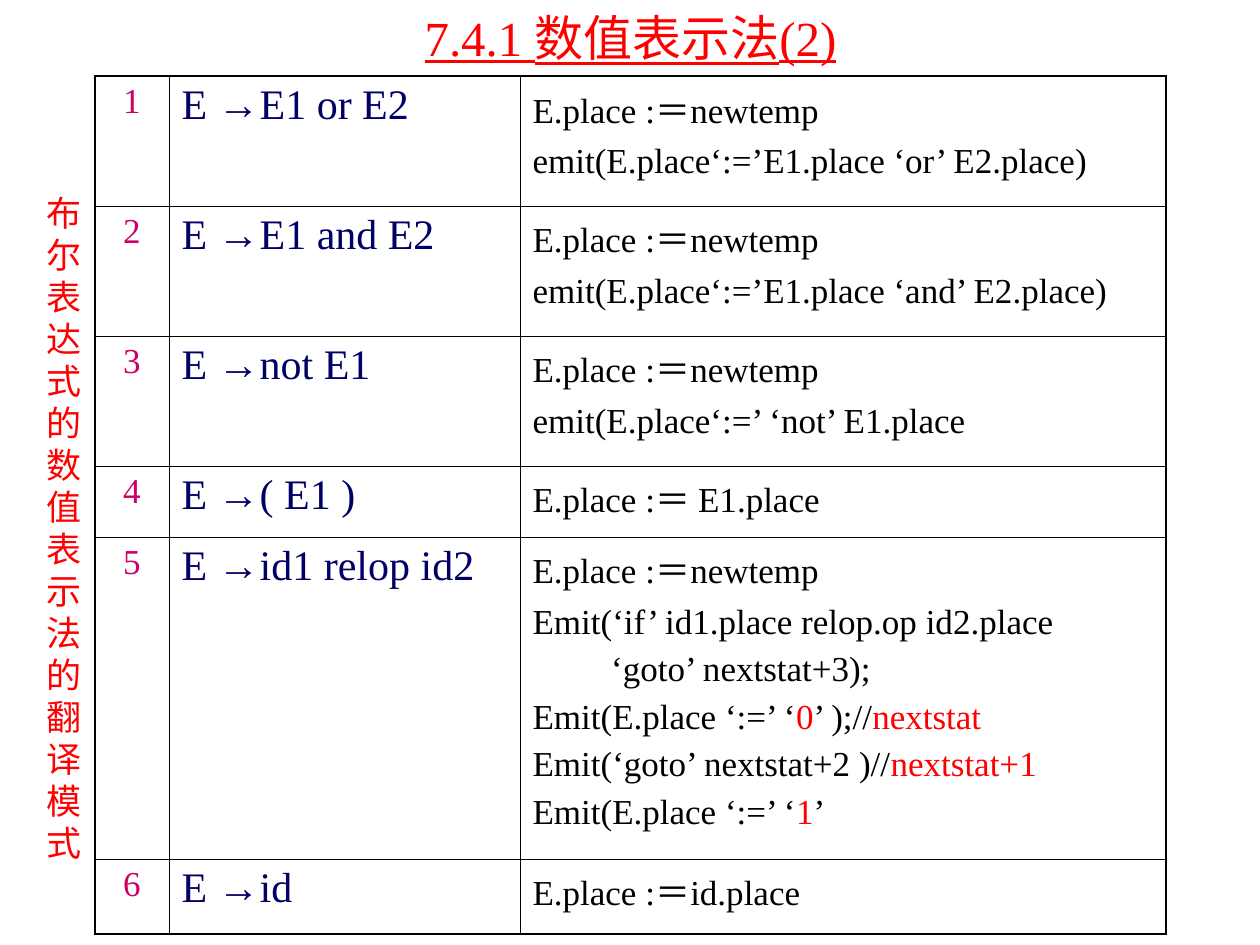
from dataclasses import dataclass

from lxml import etree
from pptx import Presentation
from pptx import util as u
from pptx.dml.color import RGBColor
from pptx.enum import text
from pptx.oxml import ns

EMU_PER_PX = 914400 / 126


@dataclass(frozen=True)
class Theme:
    font: str = "Times New Roman"
    red: str = "FF0000"
    number: str = "CC0066"
    production: str = "000066"
    body: str = "000000"
    highlight: str = "FF99FF"
    border: str = "000000"
    title_pt: int = 28
    production_pt: int = 24
    body_pt: int = 20
    gap_pt: int = 5
    outer_pt: float = 1.08
    inner_pt: float = 0.45


@dataclass(frozen=True)
class Box:
    x: int
    y: int
    w: int
    h: int


@dataclass(frozen=True)
class Rule:
    """One production and its actions; text between bars is red."""
    production: str
    actions: tuple[str, ...]
    height: int
    highlighted: bool = False


THEME = Theme()
TITLE = Box(95, 0, 1071, 73)
SIDE_LABEL = Box(34, 185, 37, 685)
TABLE_X, TABLE_Y = 95, 76
COLUMNS = (74, 351, 646)
NEWTEMP = "E.place :＝newtemp"
RULES = (
    Rule("E →E1 or E2", (NEWTEMP, "emit(E.place‘:=’E1.place ‘or’ E2.place)"), 130),
    Rule("E →E1 and E2", (NEWTEMP, "emit(E.place‘:=’E1.place ‘and’ E2.place)"), 130),
    Rule("E →not E1", (NEWTEMP, "emit(E.place‘:=’ ‘not’ E1.place"), 130),
    Rule("E →( E1 )", ("E.place :＝ E1.place",), 71),
    Rule("E →id1 relop id2", (
        NEWTEMP,
        "Emit(‘if’ id1.place relop.op id2.place",
        "         ‘goto’ nextstat+3);",
        "Emit(E.place ‘:=’ ‘|0|’ );//|nextstat|",
        "Emit(‘goto’ nextstat+2 )//|nextstat+1|",
        "Emit(E.place ‘:=’ ‘|1|’",
    ), 322, highlighted=True),
    Rule("E →id", ("E.place :＝id.place",), 75),
)


def px(n: int) -> u.Emu:
    return u.Emu(round(n * EMU_PER_PX))


def write(tf, lines: tuple[str, ...], size: int, color: str,
          align=text.PP_ALIGN.LEFT, underline: bool = False) -> None:
    for i, line in enumerate(lines):
        p = tf.add_paragraph() if i else tf.paragraphs[0]
        p.alignment = align
        if i:
            p.space_before = u.Pt(THEME.gap_pt)
        p.font.name = THEME.font
        p.font.size = u.Pt(size)
        p.font.color.rgb = RGBColor.from_string(color)
        if underline:
            p.font.underline = True
        for j, part in enumerate(line.split("|")):
            if part:
                r = p.add_run()
                r.text = part
                if j % 2:
                    r.font.color.rgb = RGBColor.from_string(THEME.red)


def add_label(s, box: Box, label: str, size: int, **style):
    sp = s.shapes.add_textbox(px(box.x), px(box.y), px(box.w), px(box.h))
    sp.text_frame.word_wrap = True
    write(sp.text_frame, (label,), size, THEME.red, **style)
    return sp


def set_borders(cell, row: int, col: int) -> None:
    """Thick lines on the table's outer edge, thin lines inside."""
    outer = {
        "lnL": col == 0,
        "lnR": col == len(COLUMNS) - 1,
        "lnT": row == 0,
        "lnB": row == len(RULES) - 1,
    }
    tc_pr = cell._tc.get_or_add_tcPr()
    for i, (side, is_outer) in enumerate(outer.items()):
        width = u.Pt(THEME.outer_pt if is_outer else THEME.inner_pt)
        ln = etree.Element(ns.qn(f"a:{side}"), w=str(int(width)))
        fill = etree.SubElement(ln, ns.qn("a:solidFill"))
        etree.SubElement(fill, ns.qn("a:srgbClr"), val=THEME.border)
        tc_pr.insert(i, ln)


def add_rule_table(s) -> None:
    frame = s.shapes.add_table(
        len(RULES), len(COLUMNS), px(TABLE_X), px(TABLE_Y),
        px(sum(COLUMNS)), px(sum(rule.height for rule in RULES)))
    table = frame.table
    table.first_row = table.horz_banding = False
    for column, width in zip(table.columns, COLUMNS):
        column.width = px(width)
    for i, rule in enumerate(RULES):
        table.rows[i].height = px(rule.height)
        number, production, actions = cells = table.rows[i].cells
        write(number.text_frame, (str(i + 1),), THEME.body_pt, THEME.number,
              align=text.PP_ALIGN.CENTER)
        write(production.text_frame, (rule.production,),
              THEME.production_pt, THEME.production)
        write(actions.text_frame, rule.actions, THEME.body_pt, THEME.body)
        for j, cell in enumerate(cells):
            cell.fill.background()
            if rule.highlighted and cell is actions:
                cell.fill.solid()
                cell.fill.fore_color.rgb = RGBColor.from_string(THEME.highlight)
            set_borders(cell, i, j)


def main() -> None:
    prs = Presentation()
    prs.slide_width, prs.slide_height = px(1260), px(945)
    s = prs.slides.add_slide(prs.slide_layouts[6])
    title = add_label(s, TITLE, "7.4.1 数值表示法(2)", THEME.title_pt,
                      align=text.PP_ALIGN.CENTER, underline=True)
    title.text_frame.vertical_anchor = text.MSO_ANCHOR.MIDDLE
    add_rule_table(s)
    add_label(s, SIDE_LABEL, "布尔表达式的数值表示法的翻译模式", THEME.body_pt)
    prs.save("out.pptx")


if __name__ == "__main__":
    main()
